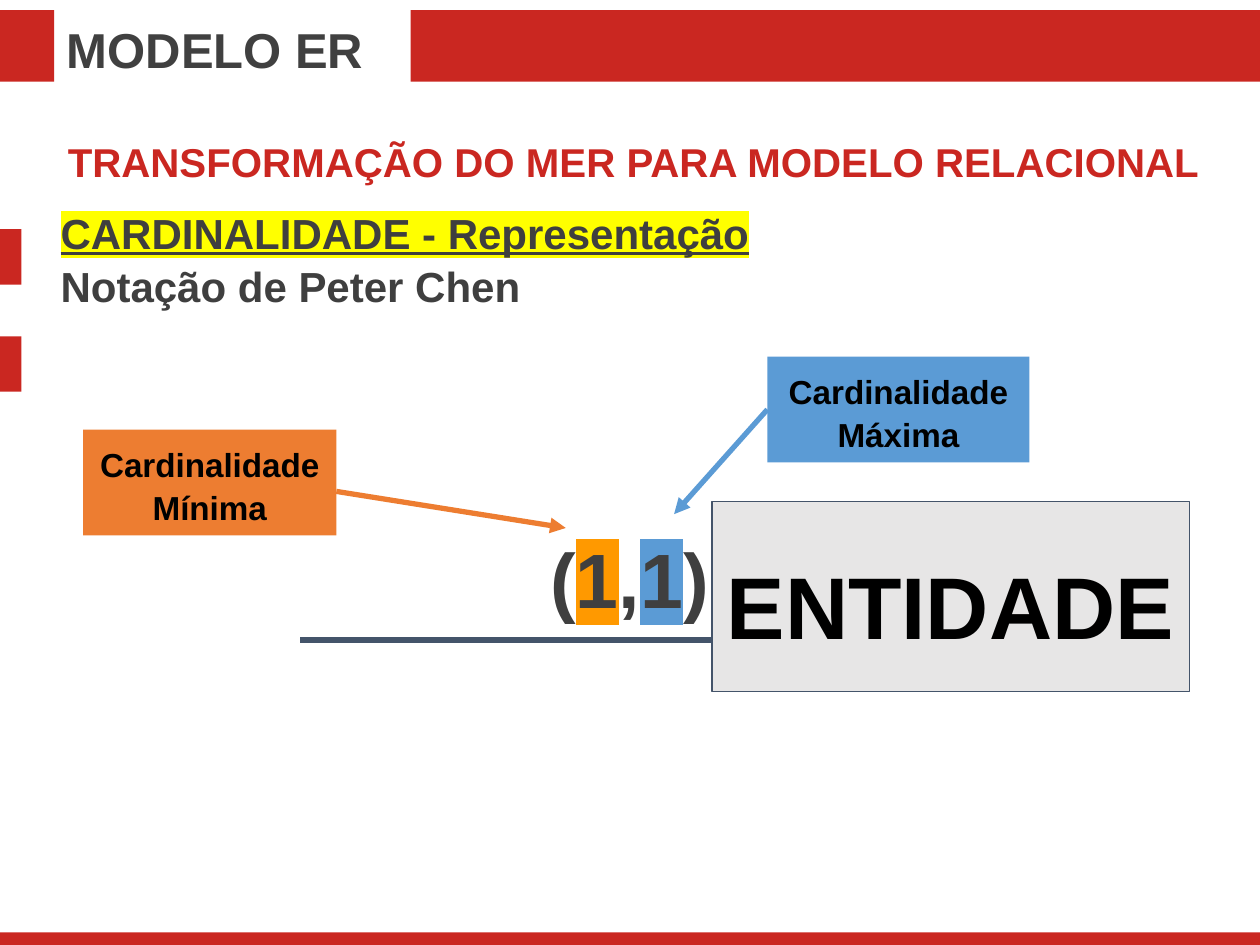
from pptx import Presentation
from pptx.dml.color import RGBColor
from pptx.enum.shapes import MSO_CONNECTOR, MSO_SHAPE
from pptx.enum.text import MSO_ANCHOR, MSO_AUTO_SIZE, PP_ALIGN
from pptx.oxml.ns import qn
from pptx.util import Pt
from lxml import etree

RECT, LINE = MSO_SHAPE.RECTANGLE, MSO_CONNECTOR.STRAIGHT
TOP, MIDDLE = MSO_ANCHOR.TOP, MSO_ANCHOR.MIDDLE
LEFT, CENTER, JUST = PP_ALIGN.LEFT, PP_ALIGN.CENTER, PP_ALIGN.JUSTIFY

RED = RGBColor(0xCA, 0x27, 0x21)
DARK = RGBColor(0x3F, 0x3F, 0x3F)
GRAY = RGBColor(0x40, 0x40, 0x40)
BLACK = RGBColor(0, 0, 0)
PALE = RGBColor(0xE7, 0xE6, 0xE6)
SLATE = RGBColor(0x44, 0x54, 0x6A)
ORANGE = RGBColor(0xED, 0x7D, 0x31)
BLUE = RGBColor(0x5B, 0x9B, 0xD5)
AMBER = RGBColor(0xFF, 0x99, 0x00)
YELLOW = RGBColor(0xFF, 0xFF, 0x00)

# Content: a paragraph is a list of (text, highlight) runs
TITLE = [[("MODELO ER", None)]]
HEAD = [[("TRANSFORMAÇÃO DO MER PARA MODELO RELACIONAL", None)]]
BODY = [[("CARDINALIDADE - Representação", YELLOW)],
        [("Notação de Peter Chen", None)]]
PAIR = [[("(", None), ("1", AMBER), (",", None), ("1", BLUE), (")", None)]]
ENTITY = [[("ENTIDADE", None)]]

# Red bars: left, top, width, height
BARS = [(0, 532.8, 720, 7.2), (0, 5.76, 31, 41), (234.7, 5.76, 485.3, 41),
        (-10.8, 131, 23, 31.7), (-10.8, 192.2, 23, 31.7)]
# Labels: text, box, colour
LABELS = [("Cardinalidade Mínima", (47.5, 245.5, 144.7, 60.5), ORANGE),
          ("Cardinalidade Máxima", (438.5, 203.8, 149.8, 60.5), BLUE)]
# Lines: start, end, colour, arrowhead
LINES = [((406.8, 365.8), (171.4, 365.8), SLATE, False),
         ((192.2, 280.8), (323.3, 301.7), ORANGE, True),
         ((438.5, 234), (385.2, 293.8), BLUE, True)]


def place(shape, box):
    shape.left, shape.top, shape.width, shape.height = map(Pt, box)


def write(shape, paras, size, color, align=LEFT, anchor=TOP, gap=1.06, pad=3.6):
    frame = shape.text_frame
    frame.word_wrap = True
    frame.auto_size = MSO_AUTO_SIZE.NONE
    frame.vertical_anchor = anchor
    frame.margin_left = frame.margin_right = Pt(7.2)
    frame.margin_top = frame.margin_bottom = Pt(pad)
    for i, runs in enumerate(paras):
        para = frame.add_paragraph() if i else frame.paragraphs[0]
        para.alignment, para.line_spacing = align, gap
        para.space_before = para.space_after = Pt(0)
        for text, mark in runs:
            run = para.add_run()
            run.text = text
            font = run.font
            font.name, font.size, font.bold = "Arial", Pt(size), True
            font.color.rgb = color
            if mark:
                tag = etree.Element(qn("a:highlight"))
                etree.SubElement(tag, qn("a:srgbClr"), val=str(mark))
                font.fill._xPr.find(qn("a:solidFill")).addnext(tag)


def block(box, fill, edge=None):
    shape = slide.shapes.add_shape(RECT, *map(Pt, box))
    shape.shadow.inherit = False
    shape.fill.solid()
    shape.fill.fore_color.rgb = fill
    if edge:
        shape.line.color.rgb = edge
        shape.line.width = Pt(0.75)
    else:
        shape.line.fill.background()
    return shape


def join(start, end, color, arrow):
    line = slide.shapes.add_connector(LINE, *map(Pt, start + end))
    line.line.color.rgb = color
    line.line.width = Pt(3)
    props = line._element.spPr
    if arrow:
        etree.SubElement(props.find(qn("a:ln")), qn("a:tailEnd"), type="triangle")
    etree.SubElement(props, qn("a:effectLst"))


deck = Presentation()
deck.slide_width, deck.slide_height = Pt(720), Pt(540)
slide = deck.slides.add_slide(deck.slide_layouts[1])

# Title, heading and body
title, body = slide.placeholders
place(title, (31, 5.76, 221.8, 41))
write(title, TITLE, 28, GRAY)
head = slide.shapes.add_textbox(*map(Pt, (31.7, 73.4, 674.6, 36)))
write(head, HEAD, 23, RED)
place(body, (27.4, 113, 656.6, 66))
write(body, BODY, 24, DARK, JUST)
for para in body.text_frame.paragraphs:
    props = para._p.get_or_add_pPr()
    props.set("marL", "0")
    props.set("indent", "0")
    etree.SubElement(props, qn("a:buNone"))
body.text_frame.paragraphs[0].runs[0].font.underline = True

# Red bars
for box in BARS:
    block(box, RED)

# Cardinality pair and entity
pair = slide.shapes.add_textbox(*map(Pt, (31, 196.6, 657.4, 259.2)))
write(pair, PAIR, 44, DARK, CENTER, MIDDLE, 1.15)
entity = block((406.8, 286.6, 272.9, 108.7), PALE, SLATE)
write(entity, ENTITY, 50, BLACK, CENTER, MIDDLE, 1.15, 7.2)

# Labels and lines
for text, box, color in LABELS:
    write(block(box, color), [[(text, None)]], 19, BLACK, CENTER, pad=7.2)
for item in LINES:
    join(*item)

deck.save("out.pptx")
